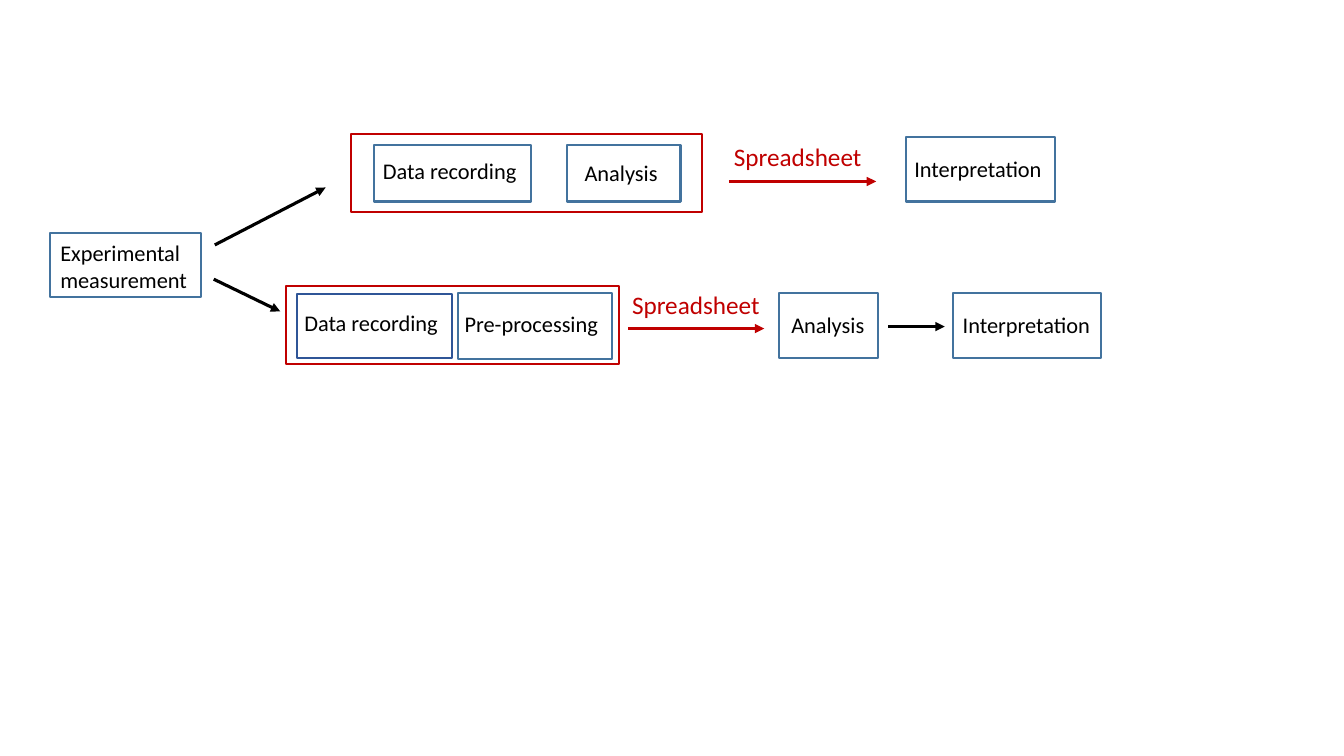
from pptx import Presentation
from pptx.dml.color import RGBColor
from pptx.enum.shapes import MSO_CONNECTOR as Connector, MSO_SHAPE as Shape
from pptx.oxml.ns import qn
from pptx.util import Inches, Pt
from lxml.etree import SubElement

COLORS = {"text": "000000", "step": "43739E", "record": "2F5597", "sheet": "C00000"}


class WorkflowSlide:
    """Draws the steps, groups, labels and arrows of a workflow on one slide."""

    font = "Calibri"
    frame_width = Pt(1.5)
    arrow_width = Pt(2.25)

    def __init__(self, slide):
        self.shapes = slide.shapes

    def frame(self, left, top, width, height, color="step"):
        """Add an unfilled rectangle."""
        outline = self.shapes.add_shape(
            Shape.RECTANGLE, Inches(left), Inches(top), Inches(width), Inches(height))
        outline.shadow.inherit = False
        outline.fill.background()
        outline.line.color.rgb = RGBColor.from_string(COLORS[color])
        outline.line.width = self.frame_width

    def label(self, text, left, top, width, height=0.37, size=16, color="text"):
        """Add a left-aligned text."""
        box = self.shapes.add_textbox(
            Inches(left), Inches(top), Inches(width), Inches(height))
        frame = box.text_frame
        frame.word_wrap = True
        frame.margin_right = 0
        frame.text = text
        font = frame.paragraphs[0].runs[0].font
        font.name = self.font
        font.size = Pt(size)
        font.color.rgb = RGBColor.from_string(COLORS[color])

    def arrow(self, start, end, color="text"):
        """Add a straight arrow from start to end."""
        connector = self.shapes.add_connector(
            Connector.STRAIGHT, *(Inches(value) for value in (*start, *end)))
        connector.line.color.rgb = RGBColor.from_string(COLORS[color])
        connector.line.width = self.arrow_width
        SubElement(connector.line._get_or_add_ln(), qn("a:tailEnd"), type="triangle")
        SubElement(connector._element.spPr, qn("a:effectLst"))


def main():
    """Build the two routes from measurement to interpretation."""
    deck = Presentation()
    deck.slide_width, deck.slide_height = Inches(13.33), Inches(7.5)
    workflow = WorkflowSlide(deck.slides.add_slide(deck.slide_layouts[6]))

    steps = [
        ("Experimental measurement", (0.5, 2.32, 1.56, 0.64), (0.5, 2.31, 1.49, 0.64)),
        ("Data recording", (3.7, 1.51, 1.54), (3.71, 1.44, 1.56, 0.56)),
        ("Analysis", (5.7, 1.53, 0.93), (5.62, 1.44, 1.13, 0.56)),
        ("Interpretation", (8.97, 1.49, 1.48), (8.99, 1.36, 1.47, 0.64)),
        ("Data recording", (2.92, 3.02, 1.54), (2.95, 2.92, 1.53, 0.63, "record")),
        ("Pre-processing", (4.51, 3.03, 1.54), (4.54, 2.91, 1.53, 0.65)),
        ("Analysis", (7.75, 3.04, 0.93), (7.73, 2.91, 0.98, 0.64)),
        ("Interpretation", (9.45, 3.04, 1.48), (9.45, 2.91, 1.47, 0.64)),
    ]
    for step, text_place, frame_place in steps:
        workflow.label(step, *text_place)
        workflow.frame(*frame_place)

    spreadsheet_groups = [(3.48, 1.33, 3.48, 0.77), (2.84, 2.84, 3.3, 0.77)]
    for group in spreadsheet_groups:
        workflow.frame(*group, color="sheet")

    for left, top in [(7.18, 1.35), (6.17, 2.82)]:
        workflow.label("Spreadsheet", left, top, 1.48, 0.4, size=18, color="sheet")

    arrows = [
        ((2.13, 2.43), (3.23, 1.86), "text"),
        ((2.12, 2.77), (2.78, 3.09), "text"),
        ((7.23, 1.8), (8.69, 1.8), "sheet"),
        ((6.23, 3.26), (7.58, 3.26), "sheet"),
        ((8.81, 3.24), (9.37, 3.24), "text"),
    ]
    for start, end, color in arrows:
        workflow.arrow(start, end, color)

    deck.save("out.pptx")


if __name__ == "__main__":
    main()
